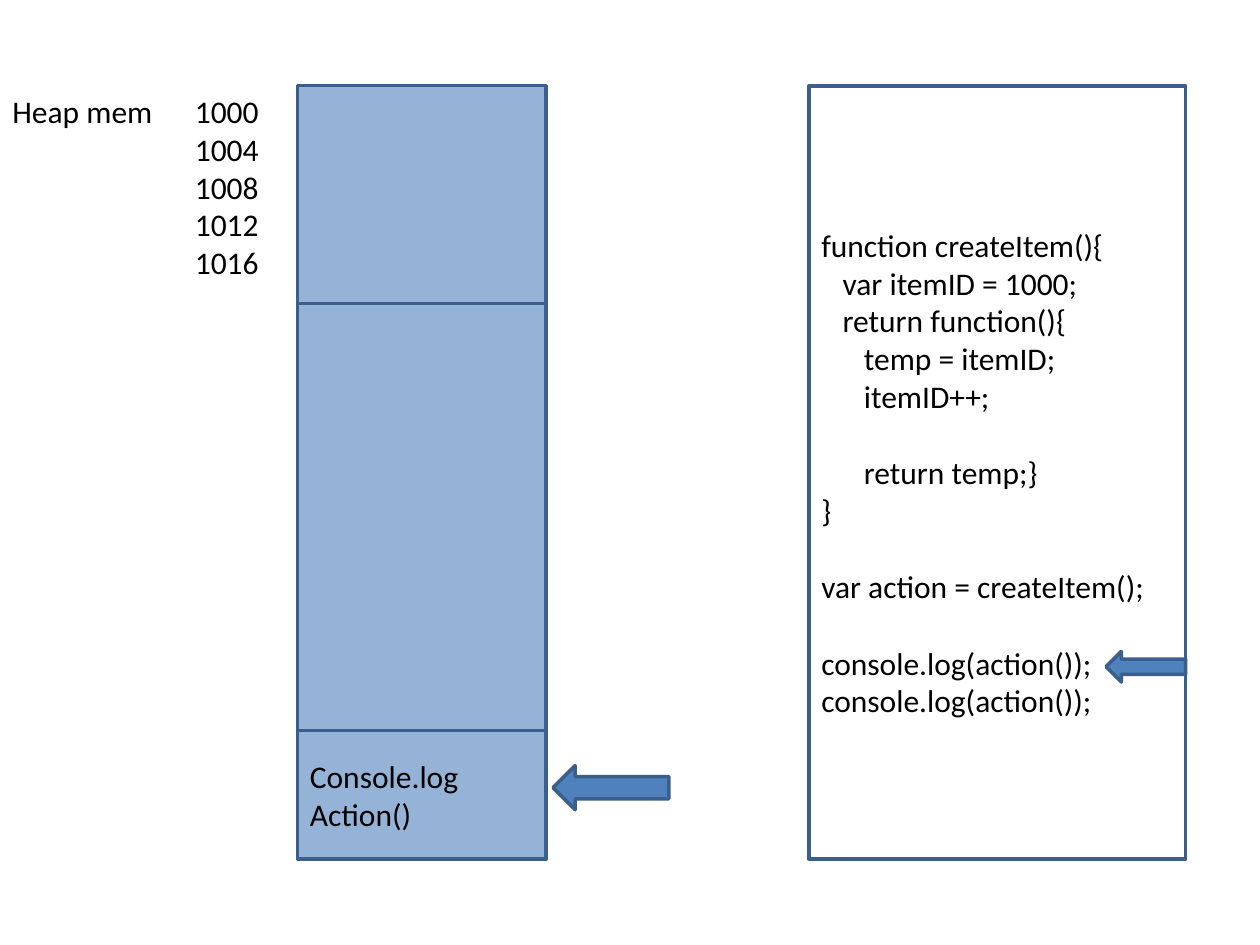
from dataclasses import dataclass

from lxml import etree
from pptx import Presentation
from pptx.dml.color import RGBColor
from pptx.enum.shapes import MSO_SHAPE
from pptx.enum.text import MSO_ANCHOR, PP_ALIGN
from pptx.oxml.ns import qn
from pptx.util import Pt

RECT, ARROW = MSO_SHAPE.RECTANGLE, MSO_SHAPE.LEFT_ARROW
TOP, MIDDLE = MSO_ANCHOR.TOP, MSO_ANCHOR.MIDDLE
LEFT = PP_ALIGN.LEFT


@dataclass(frozen=True)
class Theme:
    white: str = "FFFFFF"
    ink: str = "000000"
    edge: str = "3A5F8C"
    cell: str = "95B3D7"
    arrow: str = "4F81BD"
    font: str = "Calibri"
    size: float = 18
    line: float = 2
    gap: float = 22


THEME = Theme()

CODE = """function createItem(){
   var itemID = 1000;
   return function(){
      temp = itemID;
      itemID++;

      return temp;}
}

var action = createItem();

console.log(action());
console.log(action());""".split("\n")


def add_block(slide, box, fill, edge=THEME.edge, kind=RECT):
    block = slide.shapes.add_shape(kind, *map(Pt, box))
    block.shadow.inherit = False
    block.fill.solid()
    block.fill.fore_color.rgb = RGBColor.from_string(fill)
    block.line.color.rgb = RGBColor.from_string(edge)
    block.line.width = Pt(THEME.line)
    return block


def add_tab(para, stop):
    tabs = etree.SubElement(para._p.get_or_add_pPr(), qn("a:tabLst"))
    etree.SubElement(tabs, qn("a:tab"), pos=str(Pt(stop)), algn="l")


def write(block, lines, anchor=MIDDLE, stop=None):
    """Set one paragraph a line; an empty line becomes space before the next."""
    frame = block.text_frame
    frame.word_wrap = True
    frame.vertical_anchor = anchor
    para, gap = frame.paragraphs[0], 0
    for i, line in enumerate(lines):
        if not line:
            gap = THEME.gap
            continue
        if i:
            para = frame.add_paragraph()
        para.alignment = LEFT
        if gap:
            para.space_before = Pt(gap)
            gap = 0
        if stop:
            add_tab(para, stop)
        run = para.add_run()
        run.text = line
        for name, value in {"name": THEME.font, "size": Pt(THEME.size)}.items():
            setattr(run.font, name, value)
        run.font.color.rgb = RGBColor.from_string(THEME.ink)


def add_code(slide, box):
    """Draw the listing, with an arrow at the running line."""
    x, y, w, h = box
    write(add_block(slide, box, THEME.white), CODE)
    add_block(slide, (x + w - 45.5, y + 323.25, 45.5, 17.5),
              THEME.arrow, kind=ARROW)


def add_memory(slide, box):
    """Stack the heap, free space and call frames, with an arrow at the frames."""
    x, y, w, h = box
    heap, calls = 124.5, 73.5
    base = y + h - calls
    add_block(slide, (x, y, w, heap), THEME.cell)
    add_block(slide, (x, y + heap, w, h - heap - calls), THEME.cell)
    frames = add_block(slide, (x, base, w, calls), THEME.cell)
    write(frames, ["Console.log", "Action()"])
    add_block(slide, (x + w + 4, base + 20, 66.25, 25.25),
              THEME.arrow, kind=ARROW)


def add_labels(slide, box):
    label = add_block(slide, box, THEME.white, THEME.white)
    rows = [f"\t{place}" for place in range(1000, 1017, 4)]
    rows[0] = "Heap mem" + rows[0]
    write(label, rows, TOP, stop=104.25)


def main():
    deck = Presentation()
    deck.slide_width, deck.slide_height = Pt(720), Pt(540)
    slide = deck.slides.add_slide(deck.slide_layouts[6])
    top, tall = 49, 442
    add_code(slide, (462.25, top, 215.25, tall))
    add_labels(slide, (0, top, 167, 124.5))
    add_memory(slide, (170, top, 142, tall))
    deck.save("out.pptx")


if __name__ == "__main__":
    main()
